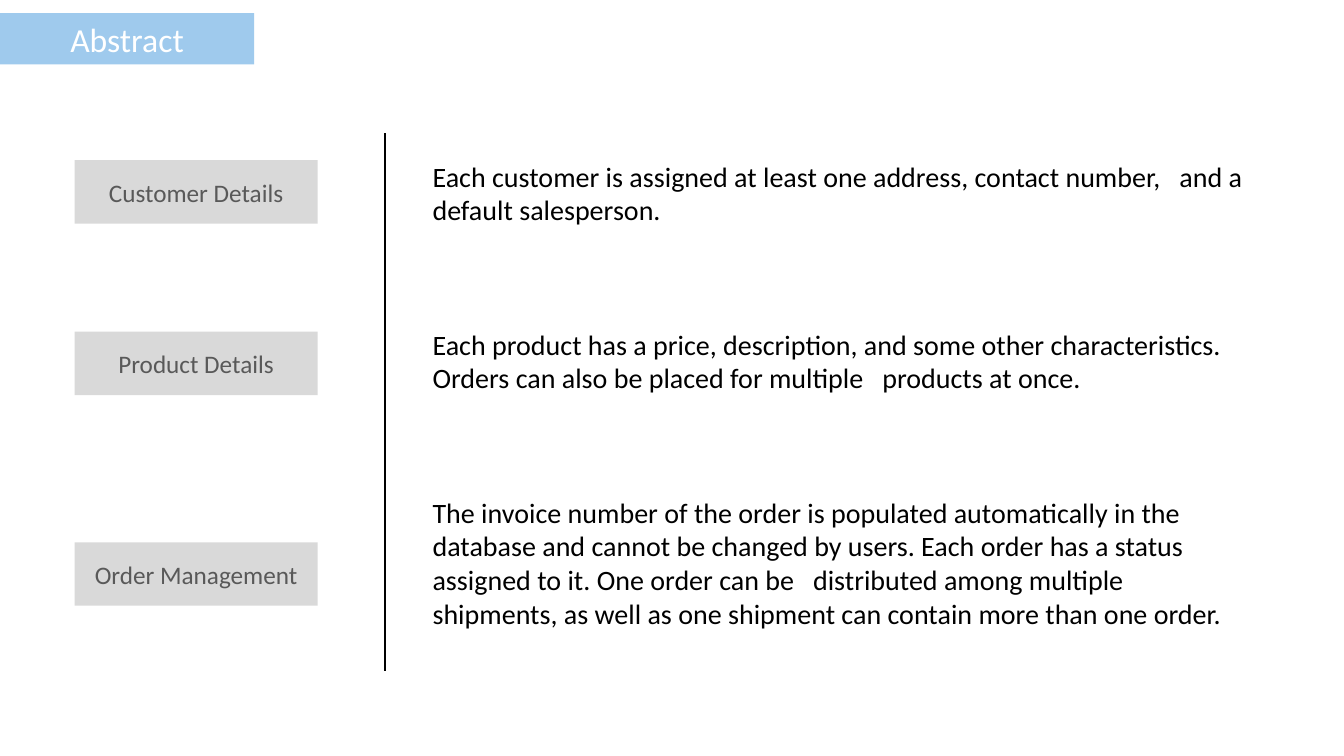
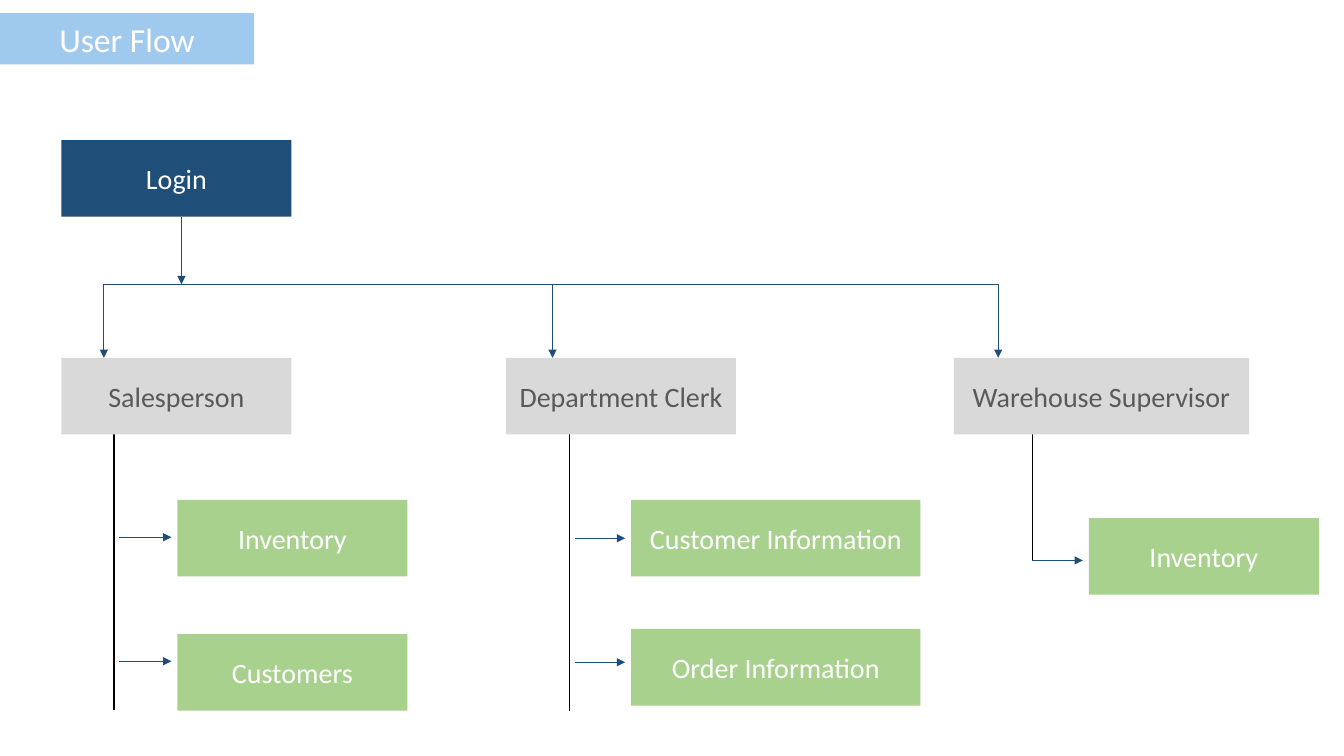
from dataclasses import dataclass

from lxml import etree
from pptx import Presentation
from pptx.dml.color import RGBColor
from pptx.enum.shapes import MSO_CONNECTOR, MSO_SHAPE
from pptx.enum.text import MSO_ANCHOR, MSO_AUTO_SIZE, PP_ALIGN
from pptx.oxml.ns import qn
from pptx.util import Inches, Pt


@dataclass(frozen=True)
class Theme:
    font: str = "Calibri"
    band: str = "9FCAED"
    navy: str = "1F4E79"
    grey: str = "D9D9D9"
    green: str = "A9D18E"
    label: str = "595959"
    white: str = "FFFFFF"
    black: str = "000000"
    title_size: int = 24
    body_size: int = 20
    label_size: int = 18
    rule: float = 1
    arrow: float = 0.5


theme = Theme()


def fill_box(sp, box, text, fill, color, size):
    """Place a filled shape or placeholder and centre one line of text in it."""
    sp.left, sp.top, sp.width, sp.height = map(Inches, box)
    sp.fill.solid()
    sp.fill.fore_color.rgb = RGBColor.from_string(fill)
    sp.line.fill.background()
    tf = sp.text_frame
    tf.word_wrap = True
    tf.auto_size = MSO_AUTO_SIZE.NONE
    tf.vertical_anchor = MSO_ANCHOR.MIDDLE
    p = tf.paragraphs[0]
    p.alignment = PP_ALIGN.CENTER
    r = p.add_run()
    r.text = text
    r.font.name, r.font.size = theme.font, Pt(size)
    r.font.color.rgb = RGBColor.from_string(color)


def add_line(s, x1, y1, x2, y2, color, width, arrow=False):
    """Draw a straight line, with an arrowhead at its end if asked."""
    ln = s.shapes.add_connector(MSO_CONNECTOR.STRAIGHT, *map(Inches, (x1, y1, x2, y2)))
    ln.line.color.rgb = RGBColor.from_string(color)
    ln.line.width = Pt(width)
    if arrow:
        etree.SubElement(ln.line._get_or_add_ln(), qn("a:tailEnd"), type="triangle")
    etree.SubElement(ln._element.spPr, qn("a:effectLst"))


prs = Presentation()
prs.slide_width, prs.slide_height = Inches(13.33), Inches(7.5)

# Slides with the shared title band
slides = []
for layout, title in ((1, "Abstract"), (5, "User Flow")):
    s = prs.slides.add_slide(prs.slide_layouts[layout])
    fill_box(s.shapes.title, (0, 0.13, 2.52, 0.51), title,
             theme.band, theme.white, theme.title_size)
    slides.append(s)
abstract, flow = slides

# Abstract: topic labels, divider and descriptions
topics = [
    (1.59, "Customer Details",
     "Each customer is assigned at least one address, contact number,   and a "
     "default salesperson."),
    (3.29, "Product Details",
     "Each product has a price, description, and some other characteristics. "
     "Orders can also be placed for multiple   products at once."),
    (5.38, "Order Management",
     "The invoice number of the order is populated automatically in the database "
     "and cannot be changed by users. Each order has a status assigned to it. "
     "One order can be   distributed among multiple shipments, as well as one "
     "shipment can contain more than one order."),
]
body = abstract.placeholders[1]
body.left, body.top, body.width, body.height = map(Inches, (4.19, 1.53, 8.27, 4.81))
tf = body.text_frame
tf.word_wrap = True
tf.auto_size = MSO_AUTO_SIZE.NONE
tf.vertical_anchor = MSO_ANCHOR.TOP
for i, (top, label, text) in enumerate(topics):
    sp = abstract.shapes.add_shape(MSO_SHAPE.RECTANGLE, 0, 0, 0, 0)
    sp.shadow.inherit = False
    fill_box(sp, (0.74, top, 2.41, 0.63), label,
             theme.grey, theme.label, theme.label_size)
    p = tf.add_paragraph() if i else tf.paragraphs[0]
    pPr = p._p.get_or_add_pPr()
    pPr.set("marL", "0")
    pPr.set("indent", "0")
    etree.SubElement(pPr, qn("a:buNone"))
    p.space_before = Pt(72 if i else 0)
    r = p.add_run()
    r.text = text
    r.font.name, r.font.size = theme.font, Pt(theme.body_size)
    r.font.color.rgb = RGBColor.from_string(theme.black)
add_line(abstract, 3.82, 1.32, 3.82, 6.66, theme.black, theme.rule)

# User flow: role, left, width, drop x, trunk x, trunk end, arrow gap,
# page left, page width, pages as (label, top, arrow y)
roles = [
    ("Salesperson", 0.61, 2.28, 1.03, 1.13, 7.04, 0.05, 1.76, 2.28,
     [("Inventory", 4.96, 5.33), ("Customers", 6.29, 6.56)]),
    ("Department Clerk", 5.02, 2.28, 5.48, 5.65, 7.05, 0.05, 6.26, 2.87,
     [("Customer Information", 4.96, 5.34), ("Order Information", 6.24, 6.57)]),
    ("Warehouse Supervisor", 9.46, 2.93, 9.9, 10.24, 5.56, 0, 10.8, 2.28,
     [("Inventory", 5.14, 5.56)]),
]
box_h, login_top, bus_y, role_top = 0.76, 1.39, 2.82, 3.55
boxes = [((0.61, login_top, 2.28, box_h), "Login", theme.navy, theme.white)]

# Lines from login to the roles, and from each role to its pages
add_line(flow, 1.8, login_top + box_h, 1.8, bus_y, theme.navy, theme.arrow, True)
add_line(flow, roles[0][3], bus_y, roles[-1][3], bus_y, theme.navy, theme.arrow)
for role, left, width, drop, trunk, end, gap, page_x, page_w, pages in roles:
    add_line(flow, drop, bus_y, drop, role_top, theme.navy, theme.arrow, True)
    add_line(flow, trunk, role_top + box_h, trunk, end, theme.black, theme.rule)
    boxes.append(((left, role_top, width, box_h), role, theme.grey, theme.label))
    for page, top, y in pages:
        add_line(flow, trunk + gap, y, page_x - 0.06, y, theme.navy, theme.arrow, True)
        boxes.append(((page_x, top, page_w, box_h), page, theme.green, theme.white))

# Boxes
for box, text, fill, color in boxes:
    sp = flow.shapes.add_shape(MSO_SHAPE.RECTANGLE, 0, 0, 0, 0)
    sp.shadow.inherit = False
    fill_box(sp, box, text, fill, color, theme.body_size)

prs.save("out.pptx")
